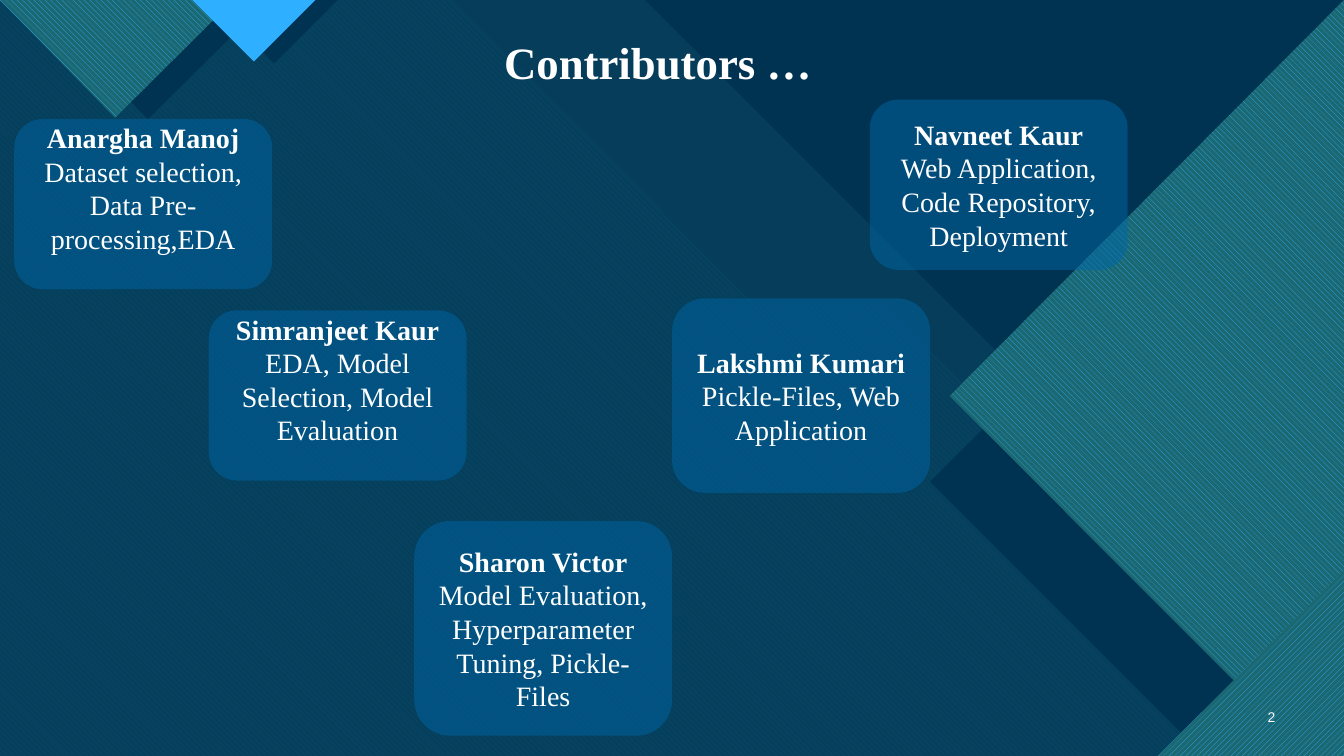
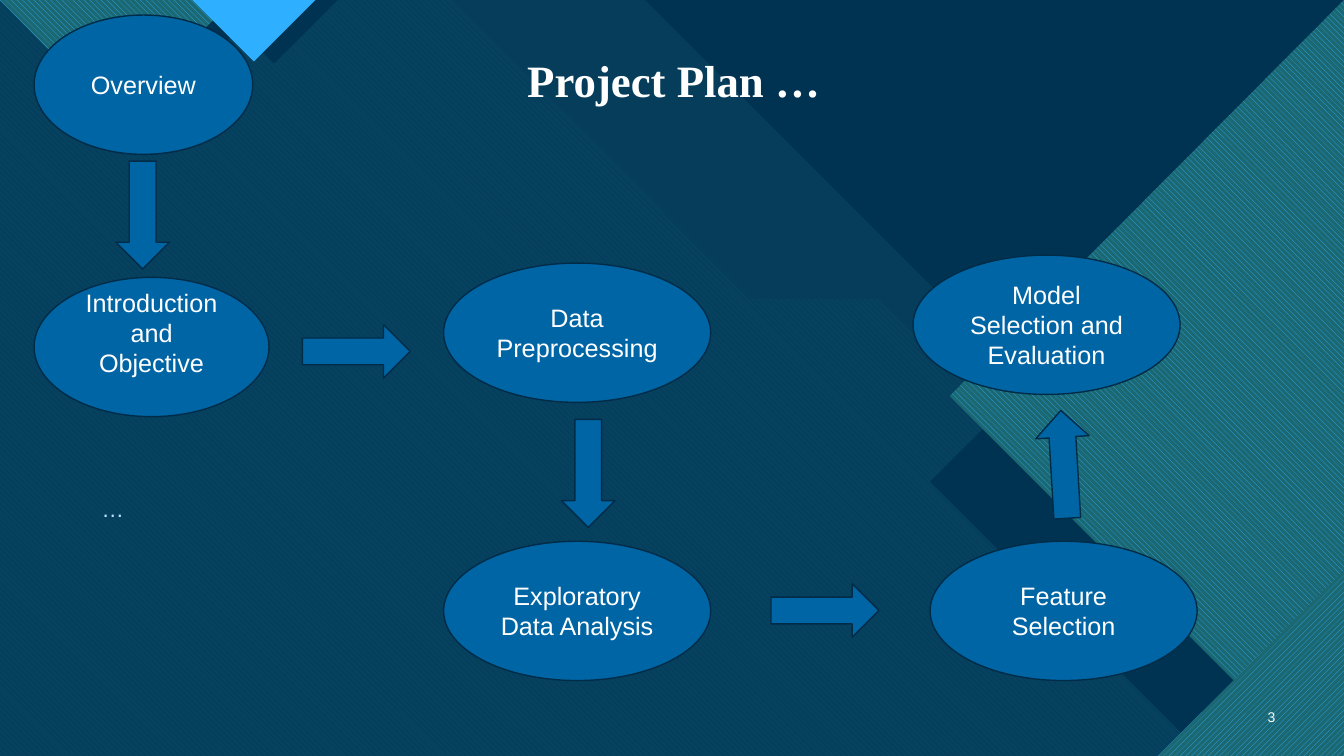
from pptx import Presentation
from pptx.dml.color import RGBColor
from pptx.enum.dml import MSO_PATTERN
from pptx.enum.shapes import MSO_SHAPE
from pptx.enum.text import MSO_ANCHOR, MSO_AUTO_SIZE, PP_ALIGN
from pptx.oxml.ns import qn
from pptx.util import Cm, Pt
from lxml.etree import SubElement

HUES = {
    "deep": "0C4360", "navy": "003352", "teal": "47C3D3", "pine": "1B6872",
    "blue": "0065A4", "sky": "2FAFFF", "edge": "002C48", "pale": "BAE4FF",
    "white": "FFFFFF",
}
SERIF, SANS = "Times New Roman", "Arial"
WIDE, HIGH = 33.87, 19.05
DOWN = MSO_PATTERN.WIDE_DOWNWARD_DIAGONAL
UP = MSO_PATTERN.WIDE_UPWARD_DIAGONAL

BANDS = [
    ([(0, 0), (WIDE, 0), (WIDE, HIGH), (0, HIGH)], "deep", {}),
    ([(0, 0), (20.98, 0), (28.52, 7.54), (31.37, 7.54), (WIDE, 10.06),
      (WIDE, HIGH), (0, HIGH)], "teal", {"alpha": 74}),
    ([(0, 0), (11.4, 0), (18.95, 7.54), (22.15, 7.54), (33.66, HIGH),
      (0, HIGH)], "blue", {"back": "teal", "weave": DOWN}),
    ([(16.26, 0), (WIDE, 0), (WIDE, 17.6)], "navy", {}),
    ([(0, 0), (17.65, 0), (25.2, 7.54), (28.4, 7.54), (WIDE, 13.03),
      (WIDE, HIGH), (0, HIGH)], "navy", {"alpha": 90}),
    ([(WIDE, 1.73), (WIDE, HIGH), (30.35, HIGH), (23.44, 12.14)], "navy", {}),
    ([(WIDE, 0), (WIDE, HIGH), (33, HIGH), (23.93, 9.98)], "sky",
     {"back": "pine", "weave": DOWN}),
    ([(WIDE, 14.38), (WIDE, HIGH), (29.18, HIGH)], "sky",
     {"back": "pine", "weave": UP}),
    ([(0.74, 0), (3.73, 3), (6.76, 0)], "navy", {}),
    ([(0, 0), (2.9, 2.97), (5.89, 0)], "sky", {"back": "pine", "weave": DOWN}),
    ([(5.31, 0), (6.91, 1.6), (8.51, 0)], "navy", {}),
    ([(4.85, 0), (6.4, 1.55), (7.95, 0)], "sky", {}),
]


def hue(name):
    return RGBColor.from_string(HUES[name])


class Deck:
    def __init__(self):
        self.prs = Presentation()
        self.prs.slide_width, self.prs.slide_height = Cm(WIDE), Cm(HIGH)
        self.base = self.prs.slide_layouts[1]
        self.slide = None

    def page(self, title, left, top, num):
        self.slide = self.prs.slides.add_slide(self.base)
        if len(self.prs.slides) == 1:
            self.scene()
        head = self.slide.shapes.title
        self.place(head, left, top, 21.62, 2.39)
        self.label(head, [[(title, True)]], SERIF, 32, anchor=MSO_ANCHOR.BOTTOM)
        head.text_frame.paragraphs[0].line_spacing = 0.9
        box = self.slide.shapes.add_textbox(Cm(31.27), Cm(17.55), Cm(1.12), Cm(1.02))
        self.label(box, [[(num, False)]], SANS, 10, align=PP_ALIGN.RIGHT)

    def scene(self):
        for num, (dots, fill, look) in enumerate(BANDS, 20):
            ends = [(Cm(x), Cm(y)) for x, y in dots]
            pen = self.slide.shapes.build_freeform(*ends[0])
            pen.add_line_segments(ends[1:])
            band = pen.convert_to_shape()
            self.paint(band, fill, **look)
            band.element.nvSpPr.cNvPr.set("id", str(num))
            self.base.shapes.element.append(band.element)

    def place(self, shape, left, top, wide, high):
        shape.left, shape.top = Cm(left), Cm(top)
        shape.width, shape.height = Cm(wide), Cm(high)

    def paint(self, shape, fill, alpha=None, back=None, weave=None, edge=None):
        shape.shadow.inherit = False
        if weave is None:
            shape.fill.solid()
        else:
            shape.fill.patterned()
            shape.fill.pattern = weave
            shape.fill.back_color.rgb = hue(back)
        shape.fill.fore_color.rgb = hue(fill)
        if alpha:
            tone = shape.element.spPr.find(".//" + qn("a:srgbClr"))
            SubElement(tone, qn("a:alpha")).set("val", str(alpha * 1000))
        if edge:
            shape.line.color.rgb = hue(edge)
            shape.line.width = Pt(1)
        else:
            shape.line.fill.background()

    def label(self, shape, lines, font, size, color="white",
              align=PP_ALIGN.CENTER, anchor=MSO_ANCHOR.MIDDLE, lift=0):
        frame = shape.text_frame
        frame.word_wrap = True
        frame.auto_size = MSO_AUTO_SIZE.NONE
        frame.vertical_anchor = anchor
        frame.margin_bottom = Cm(0.13 + lift)
        for pos, line in enumerate(lines):
            para = frame.add_paragraph() if pos else frame.paragraphs[0]
            para.alignment = align
            for text, bold in line:
                run = para.add_run()
                run.text = text
                run.font.name, run.font.size = font, Pt(size)
                run.font.bold = bold
                run.font.color.rgb = hue(color)

    def shape(self, kind, left, top, wide, high, **look):
        item = self.slide.shapes.add_shape(
            kind, Cm(left), Cm(top), Cm(wide), Cm(high))
        self.paint(item, "blue", **look)
        return item

    def card(self, name, tasks, left, top, high, lift=0):
        item = self.shape(MSO_SHAPE.ROUNDED_RECTANGLE, left, top, 6.5, high, alpha=50)
        lines = [[(name, True)]] + [[(task, False)] for task in tasks]
        self.label(item, lines, SERIF, 20, lift=lift)

    def step(self, lines, left, top, wide=6.73, lift=0):
        item = self.shape(MSO_SHAPE.OVAL, left, top, wide, 3.51, edge="edge")
        self.label(item, [[(line, False)] for line in lines], SANS, 18, lift=lift)

    def arrow(self, kind, left, top, turn=0):
        size = (1.35, 2.72) if kind == MSO_SHAPE.DOWN_ARROW else (2.72, 1.35)
        self.shape(kind, left, top, *size, edge="edge").rotation = turn

    def body(self, text, left, top, wide, high):
        item = self.slide.placeholders[1]
        self.place(item, left, top, wide, high)
        self.label(item, [[(text, False)]], SANS, 16, "pale",
                   PP_ALIGN.LEFT, MSO_ANCHOR.TOP)
        para = item.text_frame.paragraphs[0]
        para.line_spacing, para.space_before = 0.9, Pt(10)
        item.element.find(".//" + qn("a:rPr")).set("spc", "300")
        props = item.element.find(".//" + qn("a:pPr"))
        props.set("marL", "0")
        props.set("indent", "0")
        SubElement(props, qn("a:buNone"))

    def clear(self):
        item = self.slide.placeholders[1].element
        item.getparent().remove(item)


deck = Deck()

deck.page("Contributors …", 5.77, 0, "2")
deck.clear()
for card in [
    ("Anargha Manoj", ["Dataset selection, Data Pre-processing,EDA"], 0.36, 3, 4.29, 0.81),
    ("Simranjeet Kaur", ["EDA, Model Selection, Model Evaluation"], 5.26, 7.82, 4.29, 0.81),
    ("Sharon Victor", ["Model Evaluation,", "Hyperparameter Tuning, Pickle-Files"],
     10.44, 13.13, 5.41),
    ("Lakshmi Kumari", ["Pickle-Files, Web Application"], 16.94, 7.52, 4.9),
    ("Navneet Kaur", ["Web Application, Code Repository,", "Deployment"],
     21.92, 2.51, 4.29),
]:
    deck.card(*card)

deck.page("Project Plan …", 6.17, 0.43, "3")
deck.body("…", 2.31, 12.42, 18.9, 1.02)
for step in [
    (["Introduction and Objective"], 0.86, 6.99, 5.92, 0.73),
    (["Overview"], 0.86, 0.38, 5.51),
    (["Data", "Preprocessing"], 11.18, 6.63),
    (["Exploratory Data Analysis"], 11.18, 13.64),
    (["Feature Selection"], 23.44, 13.64),
    (["Model Selection and Evaluation"], 23.01, 6.43),
]:
    deck.step(*step)
for arrow in [
    (MSO_SHAPE.DOWN_ARROW, 2.92, 4.06),
    (MSO_SHAPE.DOWN_ARROW, 26.14, 10.34, 176.6),
    (MSO_SHAPE.DOWN_ARROW, 14.15, 10.57),
    (MSO_SHAPE.RIGHT_ARROW, 7.62, 8.18),
    (MSO_SHAPE.RIGHT_ARROW, 19.43, 14.71),
]:
    deck.arrow(*arrow)

deck.prs.save("out.pptx")
